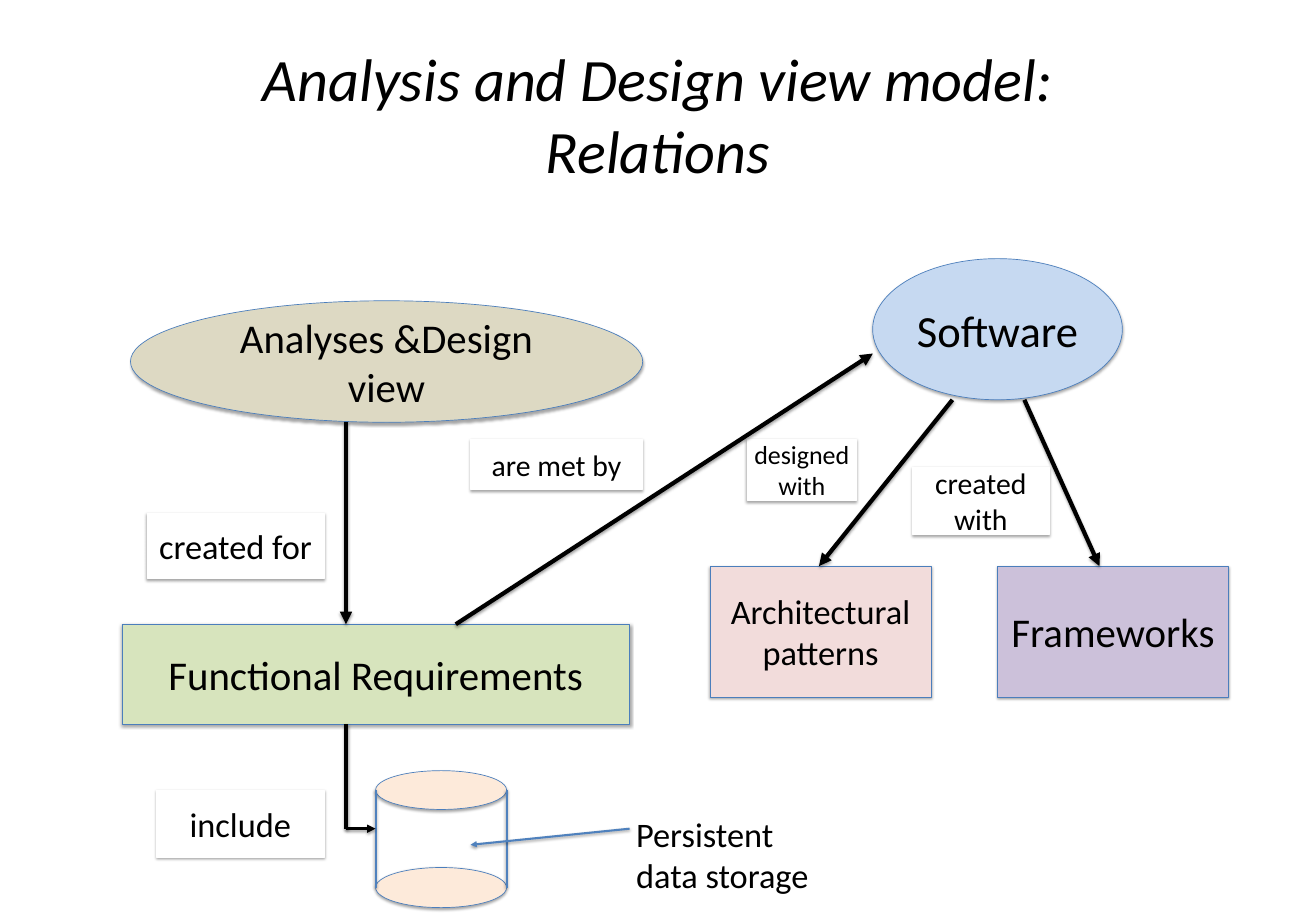
from lxml import etree
from pptx import Presentation
from pptx.dml.color import RGBColor
from pptx.enum.shapes import MSO_CONNECTOR, MSO_SHAPE
from pptx.enum.text import MSO_ANCHOR, PP_ALIGN
from pptx.oxml.ns import qn
from pptx.util import Inches, Pt

OVAL, RECT = MSO_SHAPE.OVAL, MSO_SHAPE.RECTANGLE
STRAIGHT = MSO_CONNECTOR.STRAIGHT
LEFT, CENTER = PP_ALIGN.LEFT, PP_ALIGN.CENTER
TOP, MIDDLE = MSO_ANCHOR.TOP, MSO_ANCHOR.MIDDLE

BLACK = RGBColor(0x00, 0x00, 0x00)
WHITE = RGBColor(0xFF, 0xFF, 0xFF)
OUTLINE = RGBColor(0x4B, 0x7E, 0xBC)
BLUE = RGBColor(0x4F, 0x81, 0xBD)
TAN = RGBColor(0xDD, 0xD9, 0xC3)
GREEN = RGBColor(0xD7, 0xE4, 0xBD)
SKY = RGBColor(0xC6, 0xD9, 0xF1)
PINK = RGBColor(0xF2, 0xDC, 0xDB)
PURPLE = RGBColor(0xCC, 0xC1, 0xDA)
PEACH = RGBColor(0xFD, 0xEA, 0xDA)

FONT = "Calibri"
SLIDE_W, SLIDE_H = 19.69, 13.78


def point(box, x, y):
    """Turn percentages of a box given in inches into slide lengths."""
    left, top, width, height = box
    return Inches(left + width * x / 100), Inches(top + height * y / 100)


def frame(box, part):
    x, y, w, h = part
    left, top = point(box, x, y)
    right, bottom = point(box, x + w, y + h)
    return left, top, right - left, bottom - top


def add_shadow(sp, alpha, dist):
    sp_pr = sp._element.spPr
    for old in sp_pr.findall(qn("a:effectLst")):
        sp_pr.remove(old)
    effects = etree.SubElement(sp_pr, qn("a:effectLst"))
    shadow = etree.SubElement(effects, qn("a:outerShdw"), blurRad=str(Pt(3.1)),
                              dist=str(Pt(dist)), dir="5400000", rotWithShape="0")
    color = etree.SubElement(shadow, qn("a:srgbClr"), val=str(BLACK))
    etree.SubElement(color, qn("a:alpha"), val=str(alpha * 1000))


def write(sp, text, size, align=CENTER, anchor=MIDDLE, italic=False):
    tf = sp.text_frame
    tf.word_wrap = True
    tf.vertical_anchor = anchor
    p = tf.paragraphs[0]
    p.text = text
    p.alignment = align
    for r in p.runs:
        r.font.name, r.font.size = FONT, Pt(size)
        r.font.color.rgb, r.font.italic = BLACK, italic


def add_node(slide, box, part, kind, fill, text="", size=44, outline=OUTLINE):
    sp = slide.shapes.add_shape(kind, *frame(box, part))
    sp.fill.solid()
    sp.fill.fore_color.rgb = fill
    sp.line.color.rgb = outline
    sp.line.width = Pt(0.75)
    add_shadow(sp, alpha=35, dist=1.8)
    if text:
        write(sp, text, size)


def add_label(slide, box, part, text, size):
    add_node(slide, box, part, RECT, WHITE, text, size, outline=WHITE)


def add_line(slide, box, start, end, color=BLACK, width=4.5, arrow=True):
    line = slide.shapes.add_connector(STRAIGHT, *point(box, *start), *point(box, *end))
    line.line.color.rgb = color
    line.line.width = Pt(width)
    if arrow:
        etree.SubElement(line.line._get_or_add_ln(), qn("a:tailEnd"), type="triangle")
    add_shadow(line, alpha=38, dist=1.6)


def add_text(slide, box, part, text, size, **style):
    sp = slide.shapes.add_textbox(*frame(box, part))
    write(sp, text, size, **style)


def add_title(slide, box):
    add_text(slide, box, (0, 0, 100, 100),
             "Analysis and Design view model:\vRelations", 64.8, italic=True)


def add_analysis(slide, box):
    view_bottom, needs_top, arrow_x = 28.4, 75.6, 42.2
    add_node(slide, box, (1.9, 0, 95.8, view_bottom), OVAL, TAN, "Analyses &Design view")
    add_node(slide, box, (0.3, needs_top, 95, 23.4), RECT, GREEN, "Functional Requirements")
    add_line(slide, box, (arrow_x, view_bottom), (arrow_x, needs_top))
    add_label(slide, box, (5, 49.7, 33.1, 15.2), "created for", 37)


def add_met_by(slide, box):
    add_line(slide, box, (0, 100), (100, 0))
    add_label(slide, box, (3.5, 31.6, 41.3, 18.5), "are met by", 32)


def add_software(slide, box):
    oval_bottom, row, row_h = 32, 69.7, 29.7
    add_node(slide, box, (31.5, 0, 47.9, oval_bottom), OVAL, SKY, "Software", 48)
    add_node(slide, box, (0.3, row, 42.4, row_h), RECT, PINK, "Architectural patterns", 37)
    add_node(slide, box, (55.5, row, 44.2, row_h), RECT, PURPLE, "Frameworks")
    for start_x, end_x in ((46.8, 21.2), (60.6, 75)):
        add_line(slide, box, (start_x, oval_bottom), (end_x, row))
    add_label(slide, box, (7.4, 40.9, 21, 13.9), "designed with", 28)
    add_label(slide, box, (39.1, 47.3, 26.3, 15.2), "created with", 32)


def add_storage(slide, box):
    left, width, elbow_x, arrow_y, note_x = 33.2, 19.6, 28.8, 56.9, 71.2
    for top, height in ((25.2, 21.2), (78.1, 21.9)):
        add_node(slide, box, (left, top, width, height), OVAL, PEACH)
    for x in (left, left + width):
        add_line(slide, box, (x, 35.8), (x, 89.1), BLUE, 2, arrow=False)
    add_line(slide, box, (note_x, arrow_y), (47.4, 65.7), BLUE, 2.25)
    add_text(slide, box, (note_x, 46.4, 28.4, 49.3), "Persistent data storage", 37,
             align=LEFT, anchor=TOP)
    add_line(slide, box, (elbow_x, 0), (elbow_x, arrow_y), arrow=False)
    add_line(slide, box, (elbow_x, arrow_y), (left, arrow_y), width=3)
    add_label(slide, box, (0.4, 35.8, 25.1, 36.5), "include", 37)


def main():
    prs = Presentation()
    prs.slide_width, prs.slide_height = Inches(SLIDE_W), Inches(SLIDE_H)
    slide = prs.slides.add_slide(prs.slide_layouts[6])
    add_title(slide, (0.98, 0.55, 17.72, 2.3))
    add_analysis(slide, (1.8, 4.5, 8, 6.4))
    add_software(slide, (10.6, 3.87, 7.8, 6.6))
    add_met_by(slide, (6.82, 5.29, 6.24, 4.05))
    add_storage(slide, (2.3, 10.84, 10, 2.74))
    prs.save("out.pptx")


if __name__ == "__main__":
    main()
